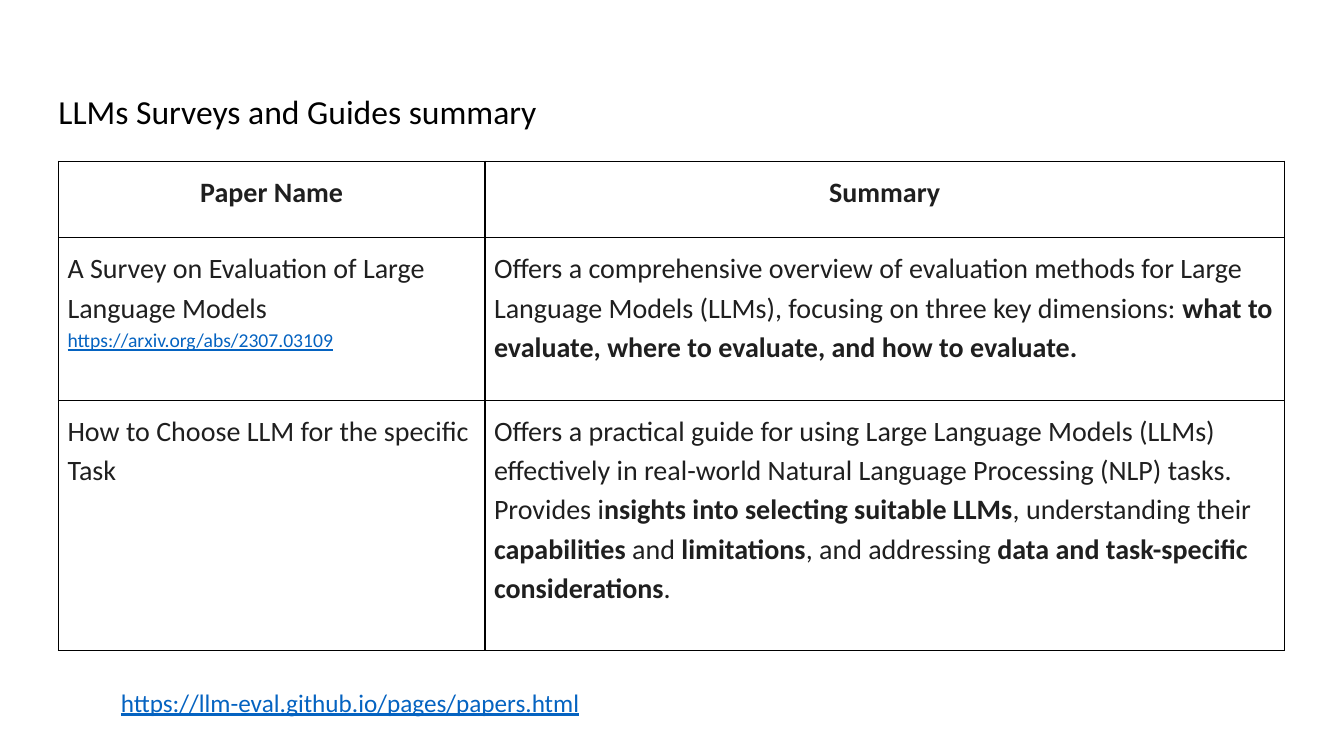
from lxml.etree import SubElement
from pptx import Presentation
from pptx.dml.color import RGBColor
from pptx.enum.text import MSO_ANCHOR, PP_ALIGN
from pptx.oxml.ns import qn
from pptx.util import Inches, Pt

COLORS = {"title": "000000", "body": "1F1F1F", "link": "0563C1",
          "border": "000000"}


class SlideBuilder:
    font = "Calibri"
    line_spacing = 1.15

    def __init__(self, s):
        self.s = s

    def paragraph(self, p, text, size, color="body", align=PP_ALIGN.LEFT):
        """Fill a paragraph; parts between ** marks are bold."""
        p.alignment = align
        p.line_spacing = self.line_spacing
        for i, part in enumerate(text.split("**")):
            if not part:
                continue
            r = p.add_run()
            r.text = part
            r.font.name = self.font
            r.font.size = Pt(size)
            r.font.bold = i % 2 == 1
            r.font.underline = color == "link"
            r.font.color.rgb = RGBColor.from_string(COLORS[color])

    def text(self, x, y, w, h, text, size, color, inset=(0.1, 0.05),
             anchor=MSO_ANCHOR.TOP):
        sp = self.s.shapes.add_textbox(Inches(x), Inches(y), Inches(w), Inches(h))
        tf = sp.text_frame
        tf.word_wrap = True
        tf.vertical_anchor = anchor
        tf.margin_left = tf.margin_right = Inches(inset[0])
        tf.margin_top = tf.margin_bottom = Inches(inset[1])
        self.paragraph(tf.paragraphs[0], text, size, color)

    def border(self, cell):
        tcPr = cell._tc.get_or_add_tcPr()
        for i, side in enumerate(("lnL", "lnR", "lnT", "lnB")):
            ln = SubElement(tcPr, qn(f"a:{side}"), w=str(Pt(1)))
            fill = SubElement(ln, qn("a:solidFill"))
            SubElement(fill, qn("a:srgbClr"), val=COLORS["border"])
            # Borders come before the fill in the cell properties
            tcPr.insert(i, ln)

    def table(self, x, y, widths, heights, rows, size, link_size):
        frame = self.s.shapes.add_table(
            len(rows), len(widths), Inches(x), Inches(y),
            Inches(sum(widths)), Inches(sum(heights)))
        table = frame.table
        table.horz_banding = False
        for col, w in zip(table.columns, widths):
            col.width = Inches(w)
        for i, (row, h) in enumerate(zip(rows, heights)):
            table.rows[i].height = Inches(h)
            for j, lines in enumerate(row):
                cell = table.cell(i, j)
                cell.fill.background()
                cell.margin_left = cell.margin_right = Inches(0.09)
                cell.margin_top = cell.margin_bottom = Inches(0.09)
                self.border(cell)
                tf = cell.text_frame
                for k, line in enumerate(lines):
                    p = tf.add_paragraph() if k else tf.paragraphs[0]
                    link = line.startswith("https://")
                    self.paragraph(p, line, link_size if link else size,
                                   "link" if link else "body",
                                   PP_ALIGN.LEFT if i else PP_ALIGN.CENTER)


PAPERS = [
    [["**Paper Name**"], ["**Summary**"]],
    [["A Survey on Evaluation of Large Language Models",
      "https://arxiv.org/abs/2307.03109"],
     ["Offers a comprehensive overview of evaluation methods for Large "
      "Language Models (LLMs), focusing on three key dimensions: "
      "**what to evaluate, where to evaluate, and how to evaluate.**"]],
    [["How to Choose LLM for the specific Task"],
     ["Offers a practical guide for using Large Language Models (LLMs) "
      "effectively in real-world Natural Language Processing (NLP) tasks. "
      "Provides i**nsights into selecting suitable LLMs**, understanding "
      "their **capabilities **and **limitations**, and addressing "
      "**data and task-specific considerations**."]],
]


def main():
    prs = Presentation()
    prs.slide_width, prs.slide_height = Inches(13.33), Inches(7.5)
    slide = SlideBuilder(prs.slides.add_slide(prs.slide_layouts[6]))

    # Title
    slide.text(0.45, 0.65, 12.42, 0.84, "LLMs Surveys and Guides summary",
               24, "title", (0.13, 0.13), MSO_ANCHOR.MIDDLE)

    # Papers table
    slide.table(0.58, 1.6, [4.23, 7.93], [0.76, 1.61, 2.48], PAPERS, 20, 14)

    # Source link
    slide.text(1.1, 6.72, 6.67, 0.43,
               "https://llm-eval.github.io/pages/papers.html", 18, "link")

    prs.save("out.pptx")


if __name__ == "__main__":
    main()
